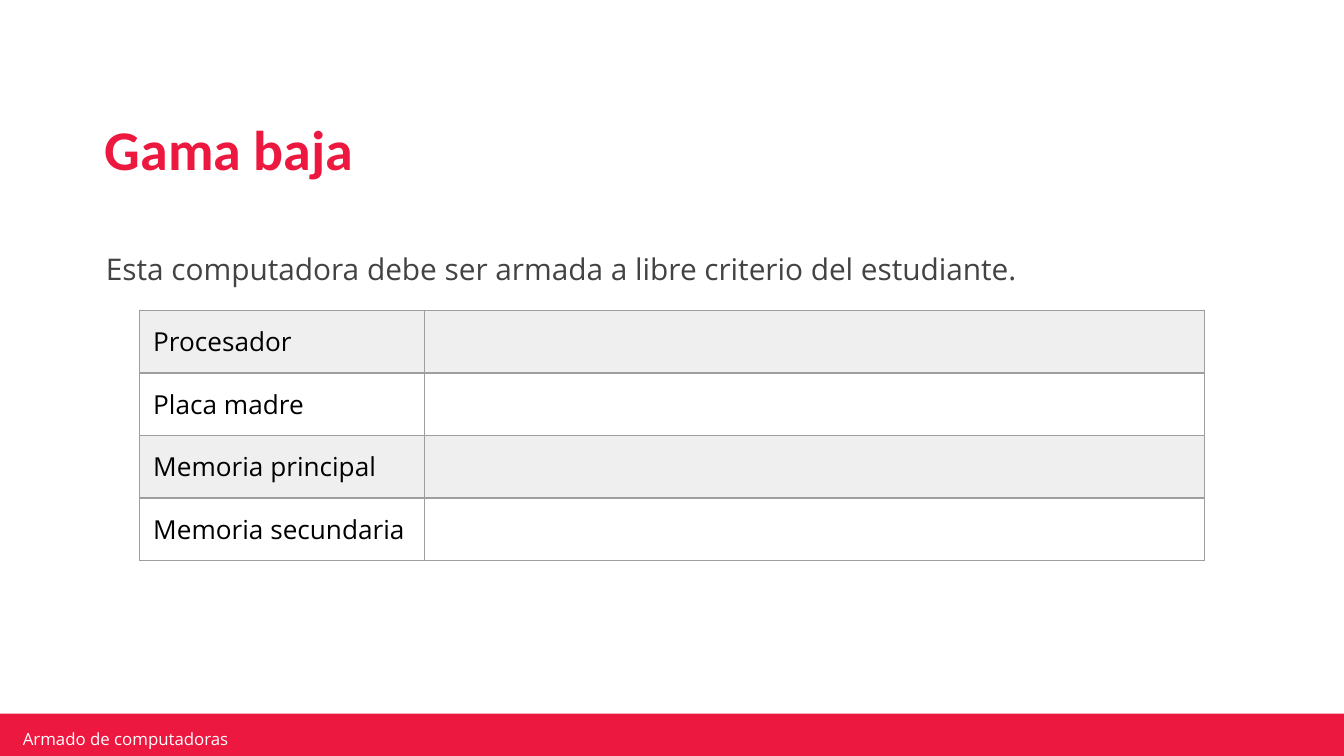
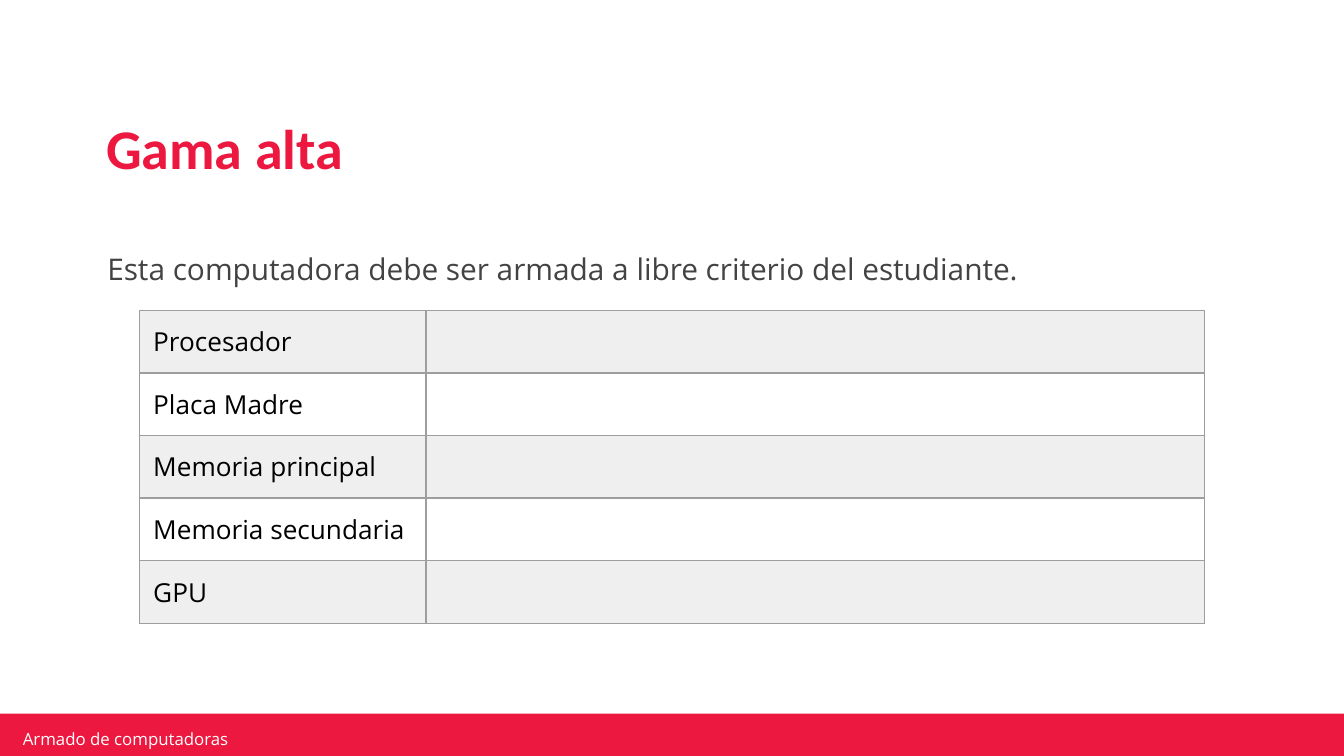
"""Build two slides with the component tables of a low-end and a high-end computer."""
from lxml.etree import SubElement
from pptx import Presentation
from pptx.dml.color import RGBColor
from pptx.enum.shapes import MSO_SHAPE
from pptx.enum.text import MSO_ANCHOR, MSO_AUTO_SIZE, PP_ALIGN
from pptx.oxml.ns import qn
from pptx.util import Inches, Pt

COLORS = {
    "red": "EC183F",
    "white": "FFFFFF",
    "band": "EFEFEF",
    "border": "9E9E9E",
    "body": "434343",
    "black": "000000",
}
TITLE_FONT = "Calibri"
BODY_FONT = "Open Sans"
FOOTER = "Armado de computadoras"
INTRO = "Esta computadora debe ser armada a libre criterio del estudiante."
SLIDE_WIDTH = 10
TABLE_LEFT, TABLE_TOP, TABLE_WIDTH, ROW_HEIGHT = 1.04, 2.31, 7.92, 0.42
SLIDES = [
    {
        "title": "Gama baja",
        "left": 0.69,
        "top": 0.67,
        "label_width": 2.12,
        "parts": ["Procesador", "Placa madre", "Memoria principal", "Memoria secundaria"],
    },
    {
        "title": "Gama alta",
        "left": 0.7,
        "top": 0.66,
        "label_width": 2.13,
        "parts": ["Procesador", "Placa Madre", "Memoria principal", "Memoria secundaria", "GPU"],
    },
]


def rgb(name):
    return RGBColor.from_string(COLORS[name])


def write(tf, text, size, color, font=BODY_FONT, bold=False, spacing=None):
    p = tf.paragraphs[0]
    p.alignment = PP_ALIGN.LEFT
    if spacing:
        p.line_spacing = spacing
    r = p.add_run()
    r.text = text
    r.font.size = Pt(size)
    r.font.name = font
    r.font.bold = bold
    r.font.color.rgb = rgb(color)


def set_margins(box, horizontal, vertical):
    box.margin_left = box.margin_right = Inches(horizontal)
    box.margin_top = box.margin_bottom = Inches(vertical)


def set_frame(tf, horizontal, vertical, anchor):
    tf.word_wrap = True
    tf.auto_size = MSO_AUTO_SIZE.NONE
    tf.vertical_anchor = anchor
    set_margins(tf, horizontal, vertical)


def add_footer(s):
    band = s.shapes.add_shape(
        MSO_SHAPE.RECTANGLE, Inches(-0.02), Inches(5.31), Inches(10.03), Inches(0.36))
    band.shadow.inherit = False
    band.fill.solid()
    band.fill.fore_color.rgb = rgb("red")
    band.line.fill.background()
    label = s.shapes.add_textbox(Inches(0.12), Inches(5.42), Inches(2.39), Inches(0.15))
    set_frame(label.text_frame, 0.05, 0.02, MSO_ANCHOR.MIDDLE)
    write(label.text_frame, FOOTER, 9, "white")


def add_title(s, text, left, top):
    sp = s.shapes.title
    sp.left, sp.top = Inches(left), Inches(top)
    sp.width, sp.height = Inches(8.4), Inches(0.93)
    set_frame(sp.text_frame, 0.09, 0.04, MSO_ANCHOR.MIDDLE)
    write(sp.text_frame, text, 30, "red", font=TITLE_FONT, bold=True, spacing=0.9)


def add_intro(s, left):
    sp = s.shapes.add_textbox(Inches(left), Inches(1.68), Inches(8.83), Inches(0.3))
    set_frame(sp.text_frame, 0.1, 0.05, MSO_ANCHOR.TOP)
    write(sp.text_frame, INTRO, 16, "body", spacing=1.5)


def format_cell(cell, fill):
    tc_pr = cell._tc.get_or_add_tcPr()
    for side in ("lnL", "lnR", "lnT", "lnB"):
        ln = SubElement(tc_pr, qn(f"a:{side}"), w=str(Pt(0.75)))
        solid = SubElement(ln, qn("a:solidFill"))
        SubElement(solid, qn("a:srgbClr"), val=COLORS["border"])
    cell.fill.solid()
    cell.fill.fore_color.rgb = rgb(fill)


def add_parts_table(s, parts, label_width):
    frame = s.shapes.add_table(
        len(parts), 2, Inches(TABLE_LEFT), Inches(TABLE_TOP),
        Inches(TABLE_WIDTH), Inches(ROW_HEIGHT * len(parts)))
    table = frame.table
    table.first_row = table.horz_banding = False
    table.columns[0].width = Inches(label_width)
    table.columns[1].width = Inches(TABLE_WIDTH - label_width)
    for i, part in enumerate(parts):
        table.rows[i].height = Inches(ROW_HEIGHT)
        for cell in table.rows[i].cells:
            format_cell(cell, "white" if i % 2 else "band")
        label = table.cell(i, 0)
        set_margins(label, 0.1, 0.1)
        write(label.text_frame, part, 14, "black")


def main():
    prs = Presentation()
    prs.slide_width = Inches(SLIDE_WIDTH)
    prs.slide_height = Inches(SLIDE_WIDTH * 9 / 16)
    for content in SLIDES:
        s = prs.slides.add_slide(prs.slide_layouts[5])
        add_footer(s)
        add_title(s, content["title"], content["left"], content["top"])
        add_parts_table(s, content["parts"], content["label_width"])
        add_intro(s, content["left"])
    prs.save("out.pptx")


if __name__ == "__main__":
    main()
